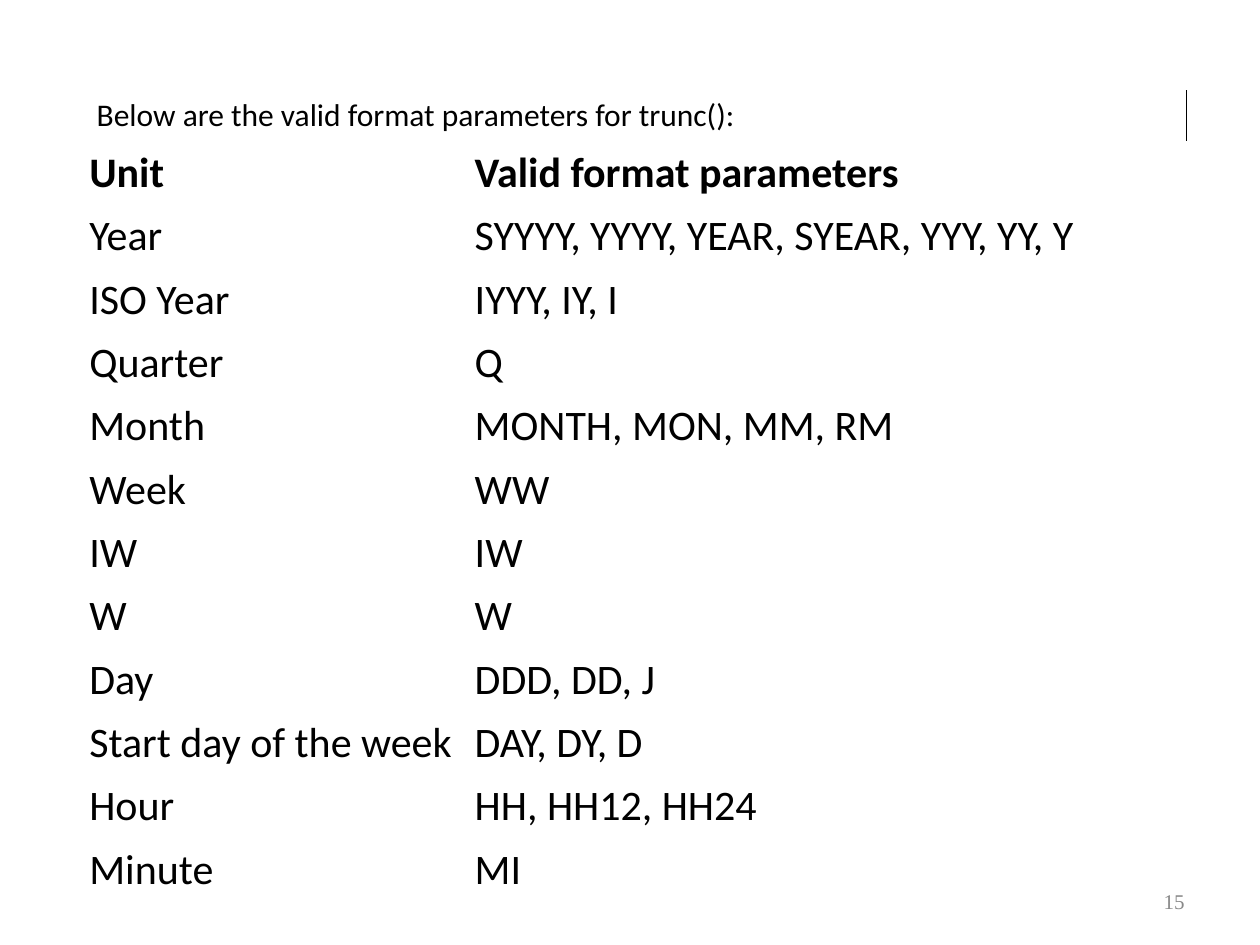
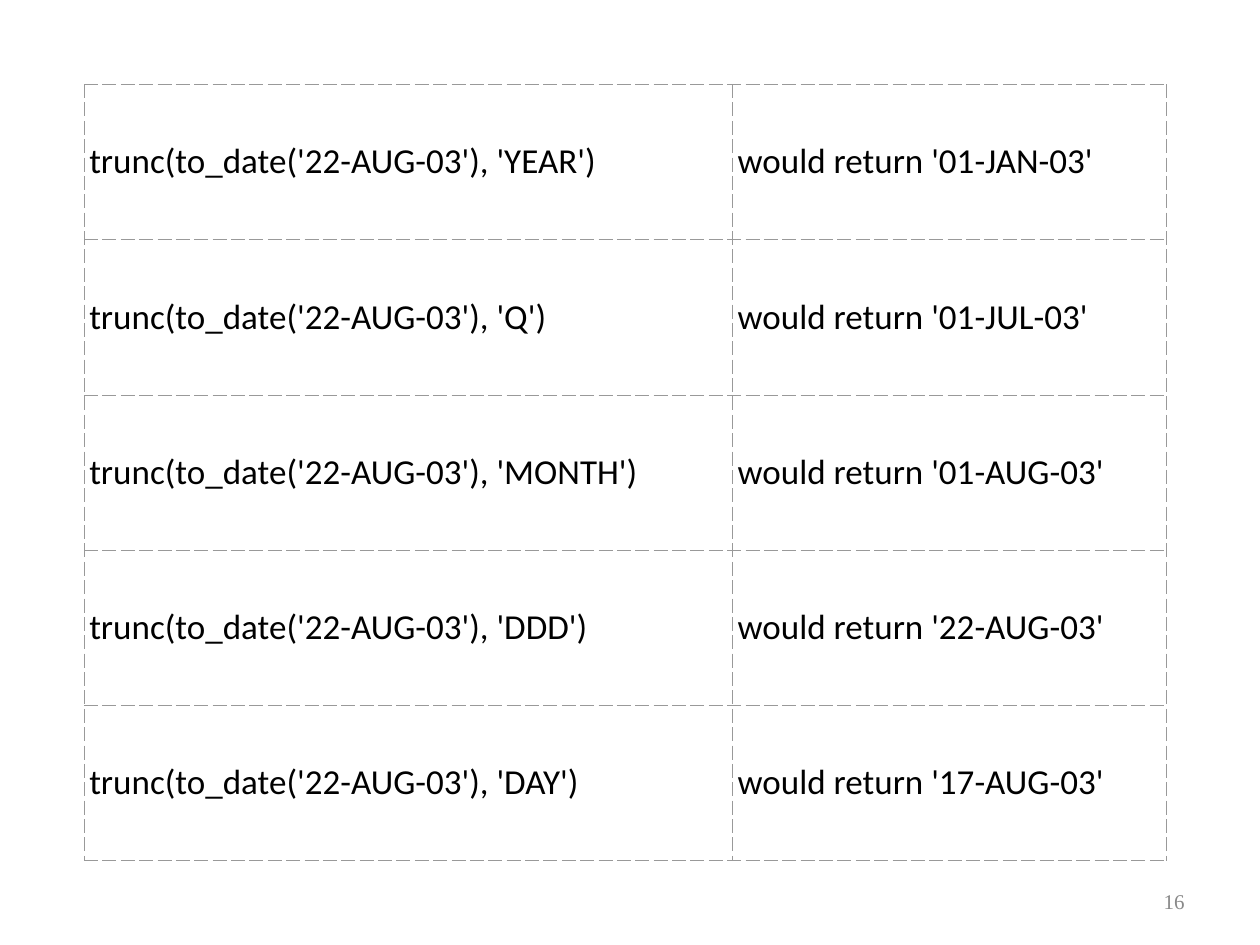
from lxml import etree
from pptx import Presentation
from pptx.dml.color import RGBColor
from pptx.enum import text as t
from pptx.oxml.ns import qn
from pptx.util import Cm, Pt

BLACK = RGBColor(0x00, 0x00, 0x00)
GREY = RGBColor(0x89, 0x89, 0x89)
RULE = RGBColor(0x99, 0x99, 0x99)
FONT = "Calibri"
PLAIN = "{2D5ABB26-0587-4C30-8999-92F81FD0307C}"  # no style, no grid
LEFT = Cm(1.7)

INTRO = "Below are the valid format parameters for trunc():"
UNITS = [
    ("Unit", "Valid format parameters"),
    ("Year", "SYYYY, YYYY, YEAR, SYEAR, YYY, YY, Y"),
    ("ISO Year", "IYYY, IY, I"),
    ("Quarter", "Q"),
    ("Month", "MONTH, MON, MM, RM"),
    ("Week", "WW"),
    ("IW", "IW"),
    ("W", "W"),
    ("Day", "DDD, DD, J"),
    ("Start day of the week", "DAY, DY, D"),
    ("Hour", "HH, HH12, HH24"),
    ("Minute", "MI"),
]
RESULTS = [
    ("YEAR", "01-JAN-03"),
    ("Q", "01-JUL-03"),
    ("MONTH", "01-AUG-03"),
    ("DDD", "22-AUG-03"),
    ("DAY", "17-AUG-03"),
]


def style(frame, size, color=BLACK, font=FONT, bold=False):
    for para in frame.paragraphs:
        for run in para.runs:
            run.font.size = Pt(size)
            run.font.name = font
            run.font.bold = bold
            run.font.color.rgb = color


def fill_cell(cell, words, size, bold=False, inset=Cm(0.1)):
    cell.text_frame.text = words
    style(cell.text_frame, size, bold=bold)
    cell.vertical_anchor = t.MSO_ANCHOR.MIDDLE
    cell.margin_left = cell.margin_right = inset
    cell.margin_top = cell.margin_bottom = Cm(0.13)
    cell.fill.background()


def add_rule(cell, sides, color, width, dash="solid"):
    """Draw the cell's borders on the given sides, out of L, R, T and B."""
    props = cell._tc.get_or_add_tcPr()
    for place, side in enumerate(sides):
        line = etree.Element(qn(f"a:ln{side}"), w=str(Pt(width)))
        paint = etree.SubElement(line, qn("a:solidFill"))
        etree.SubElement(paint, qn("a:srgbClr"), val=str(color))
        etree.SubElement(line, qn("a:prstDash"), val=dash)
        props.insert(place, line)


def add_grid(slide, top, widths, heights):
    """Add an unstyled table with the given column widths and row heights."""
    frame = slide.shapes.add_table(len(heights), len(widths), LEFT, top,
                                   sum(widths), sum(heights))
    table = frame.table
    table.first_row = table.horz_banding = False
    table._tbl.tblPr.find(qn("a:tableStyleId")).text = PLAIN
    for col, width in zip(table.columns, widths):
        col.width = width
    for row, height in zip(table.rows, heights):
        row.height = height
    return table


def add_page(deck, number):
    """Add a blank slide with its page number at the lower right."""
    slide = deck.slides.add_slide(deck.slide_layouts[6])
    box = slide.shapes.add_textbox(Cm(18.2), Cm(17.65), Cm(5.93), Cm(1.02))
    frame = box.text_frame
    frame.word_wrap = True
    frame.vertical_anchor = t.MSO_ANCHOR.MIDDLE
    frame.text = str(number)
    frame.paragraphs[0].alignment = t.PP_ALIGN.RIGHT
    style(frame, 12, GREY, "Times New Roman")
    return slide


def add_units(slide):
    heights = [Cm(1.02)] + [Cm(1.27)] * len(UNITS)
    table = add_grid(slide, Cm(1.82), [Cm(7.77), Cm(14.45)], heights)
    intro, end = table.cell(0, 0), table.cell(0, 1)
    intro.merge(end)
    fill_cell(intro, INTRO, 18, inset=Cm(0.25))
    for cell in (intro, end):
        add_rule(cell, "R", BLACK, 0.45)
    for row, pair in enumerate(UNITS, 1):
        for col, words in enumerate(pair):
            fill_cell(table.cell(row, col), words, 24, bold=row == 1)


def add_results(slide):
    table = add_grid(slide, Cm(1.7), [Cm(13.07), Cm(8.74)],
                     [Cm(3.13)] * len(RESULTS))
    for row, (unit, date) in enumerate(RESULTS):
        pair = (f"trunc(to_date('22-AUG-03'), '{unit}')",
                f"would return '{date}'")
        for col, words in enumerate(pair):
            cell = table.cell(row, col)
            fill_cell(cell, words, 20)
            add_rule(cell, "LRTB", RULE, 0.34, "dash")


def main():
    deck = Presentation()
    deck.slide_width, deck.slide_height = Cm(25.4), Cm(19.05)
    for number, build in enumerate((add_units, add_results), 15):
        build(add_page(deck, number))
    deck.save("out.pptx")


if __name__ == "__main__":
    main()
